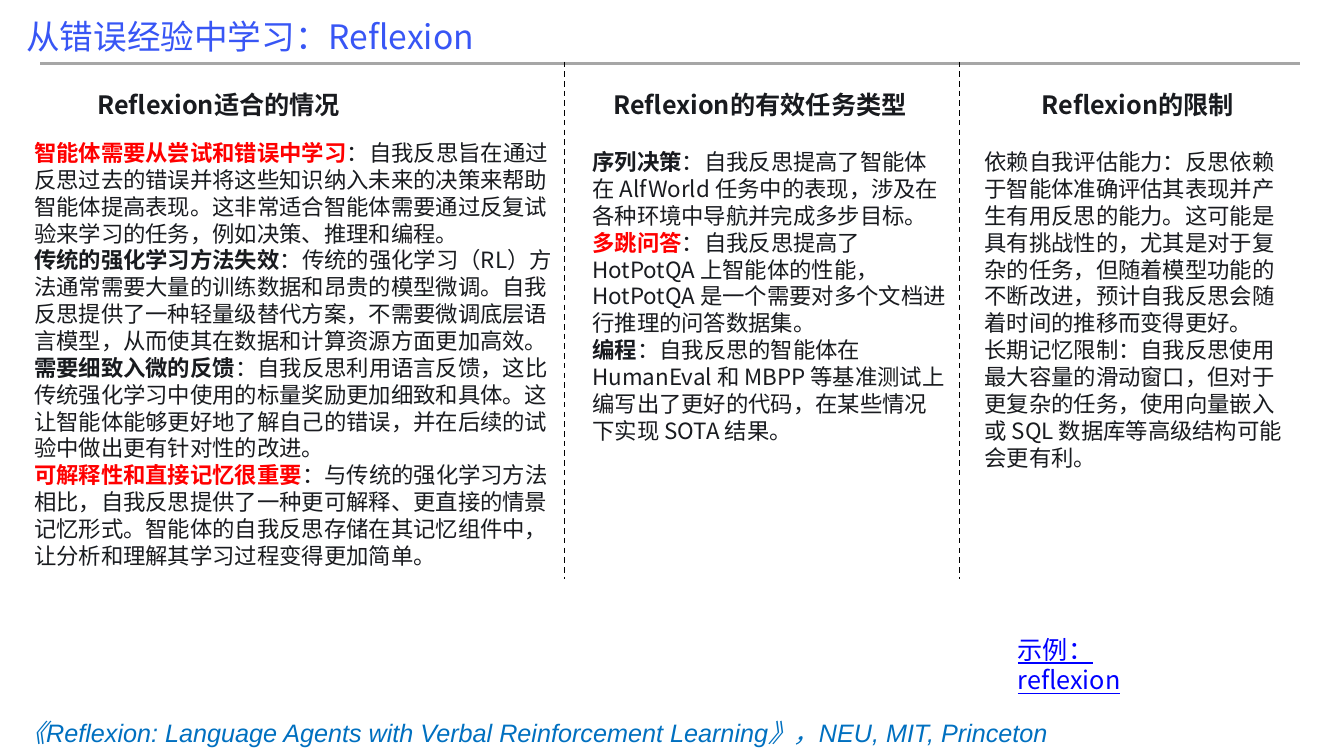
import pptx
import pptx.dml.color
import pptx.enum.dml
import pptx.enum.shapes
import pptx.enum.text
import pptx.oxml
import pptx.oxml.ns
import pptx.util
from pptx.util import Cm

SANS = "Noto Sans CJK SC"
COLORS = {
    "title": "3856F5",
    "text": "191B1F",
    "accent": "FF0000",
    "citation": "0070C0",
    "example": "0000FF",
    "rule": "A6A6A6",
    "divider": "000000",
}
TOPICS = [
    {
        "heading": "Reflexion适合的情况",
        "heading_left": 1.4,
        "body_box": (0.61, 3.38, 13.87, 11.2),
        "paragraphs": [
            ("智能体需要从尝试和错误中学习", "accent", "：自我反思旨在通过反思过去的错误并将这些知识纳入未来的决策来帮助智能体提高表现。这非常适合智能体需要通过反复试验来学习的任务，例如决策、推理和编程。"),
            ("传统的强化学习方法失效", "text", "：传统的强化学习（RL）方法通常需要大量的训练数据和昂贵的模型微调。自我反思提供了一种轻量级替代方案，不需要微调底层语言模型，从而使其在数据和计算资源方面更加高效。"),
            ("需要细致入微的反馈", "text", "：自我反思利用语言反馈，这比传统强化学习中使用的标量奖励更加细致和具体。这让智能体能够更好地了解自己的错误，并在后续的试验中做出更有针对性的改进。"),
            ("可解释性和直接记忆很重要", "accent", "：与传统的强化学习方法相比，自我反思提供了一种更可解释、更直接的情景记忆形式。智能体的自我反思存储在其记忆组件中，让分析和理解其学习过程变得更加简单。"),
        ],
    },
    {
        "heading": "Reflexion的有效任务类型",
        "heading_left": 15.04,
        "body_box": (14.68, 3.61, 9.47, 8.46),
        "paragraphs": [
            ("序列决策", "text", "：自我反思提高了智能体在 AlfWorld 任务中的表现，涉及在各种环境中导航并完成多步目标。"),
            ("多跳问答", "accent", "：自我反思提高了 HotPotQA 上智能体的性能，HotPotQA 是一个需要对多个文档进行推理的问答数据集。"),
            ("编程", "text", "：自我反思的智能体在 HumanEval 和 MBPP 等基准测试上编写出了更好的代码，在某些情况下实现 SOTA 结果。"),
        ],
    },
    {
        "heading": "Reflexion的限制",
        "heading_left": 24.56,
        "body_box": (24.56, 3.61, 8.18, 8.46),
        "paragraphs": [
            ("", "text", "依赖自我评估能力：反思依赖于智能体准确评估其表现并产生有用反思的能力。这可能是具有挑战性的，尤其是对于复杂的任务，但随着模型功能的不断改进，预计自我反思会随着时间的推移而变得更好。"),
            ("", "text", "长期记忆限制：自我反思使用最大容量的滑动窗口，但对于更复杂的任务，使用向量嵌入或 SQL 数据库等高级结构可能会更有利。"),
        ],
    },
]


def add_run(paragraph, text, size, color, name=SANS, bold=False, italic=False, underline=False):
    run = paragraph.add_run()
    run.text = text
    font = run.font
    font.name = name
    font.size = pptx.util.Pt(size)
    font.bold = bold
    font.italic = italic
    font.underline = underline
    font.color.rgb = pptx.dml.color.RGBColor.from_string(COLORS[color])
    latin = run._r.get_or_add_rPr().find(pptx.oxml.ns.qn("a:latin"))
    east_asian = pptx.oxml.parse_xml(f'<a:ea {pptx.oxml.ns.nsdecls("a")} typeface="{name}"/>')
    latin.addnext(east_asian)


def add_text_box(slide, left, top, width, height, wrap=True):
    shape = slide.shapes.add_textbox(Cm(left), Cm(top), Cm(width), Cm(height))
    shape.text_frame.word_wrap = wrap
    shape.text_frame.auto_size = pptx.enum.text.MSO_AUTO_SIZE.SHAPE_TO_FIT_TEXT
    return shape.text_frame


def add_line(slide, start, end, color, weight, dashed=False):
    connector = slide.shapes.add_connector(
        pptx.enum.shapes.MSO_CONNECTOR.STRAIGHT, *map(Cm, start + end))
    connector.line.color.rgb = pptx.dml.color.RGBColor.from_string(COLORS[color])
    connector.line.width = pptx.util.Pt(weight)
    if dashed:
        connector.line.dash_style = pptx.enum.dml.MSO_LINE.DASH
    effects = pptx.oxml.parse_xml(f'<a:effectLst {pptx.oxml.ns.nsdecls("a")}/>')
    connector._element.spPr.append(effects)


def format_title(slide):
    title = slide.shapes.title
    title.left, title.top, title.width, title.height = Cm(0.41), Cm(0.28), Cm(25.6), Cm(1.27)
    title.text_frame.vertical_anchor = pptx.enum.text.MSO_ANCHOR.TOP
    paragraph = title.text_frame.paragraphs[0]
    paragraph.alignment = pptx.enum.text.PP_ALIGN.LEFT
    add_run(paragraph, "从错误经验中学习：Reflexion", 24, "title")


def add_topic(slide, topic):
    heading = add_text_box(slide, topic["heading_left"], 2.13, 8.23, 1.02).paragraphs[0]
    heading.alignment = pptx.enum.text.PP_ALIGN.CENTER
    add_run(heading, topic["heading"], 18, "text", bold=True)

    frame = add_text_box(slide, *topic["body_box"])
    for index, (lead, lead_color, detail) in enumerate(topic["paragraphs"]):
        paragraph = frame.add_paragraph() if index else frame.paragraphs[0]
        if lead:
            add_run(paragraph, lead, 16, lead_color, bold=True)
        add_run(paragraph, detail, 16, "text")


def main():
    presentation = pptx.Presentation()
    presentation.slide_width = Cm(33.87)
    presentation.slide_height = Cm(19.05)
    slide = presentation.slides.add_slide(presentation.slide_layouts[5])

    format_title(slide)
    add_line(slide, (1.02, 1.6), (32.77, 1.6), "rule", 1.5)
    for divider_left in (14.22, 24.18):
        add_line(slide, (divider_left, 1.55), (divider_left, 14.58), "divider", 1, dashed=True)
    for topic in TOPICS:
        add_topic(slide, topic)

    example = add_text_box(slide, 25.4, 15.85, 4.78, 1.02).paragraphs[0]
    add_run(example, "示例：reflexion", 18, "example", underline=True)
    citation = add_text_box(slide, 0.28, 17.96, 28.09, 1.02, wrap=False).paragraphs[0]
    add_run(citation, "《Reflexion: Language Agents with Verbal Reinforcement Learning》，NEU, MIT, Princeton",
            18, "citation", name="Arial", italic=True)

    presentation.save("out.pptx")


if __name__ == "__main__":
    main()
